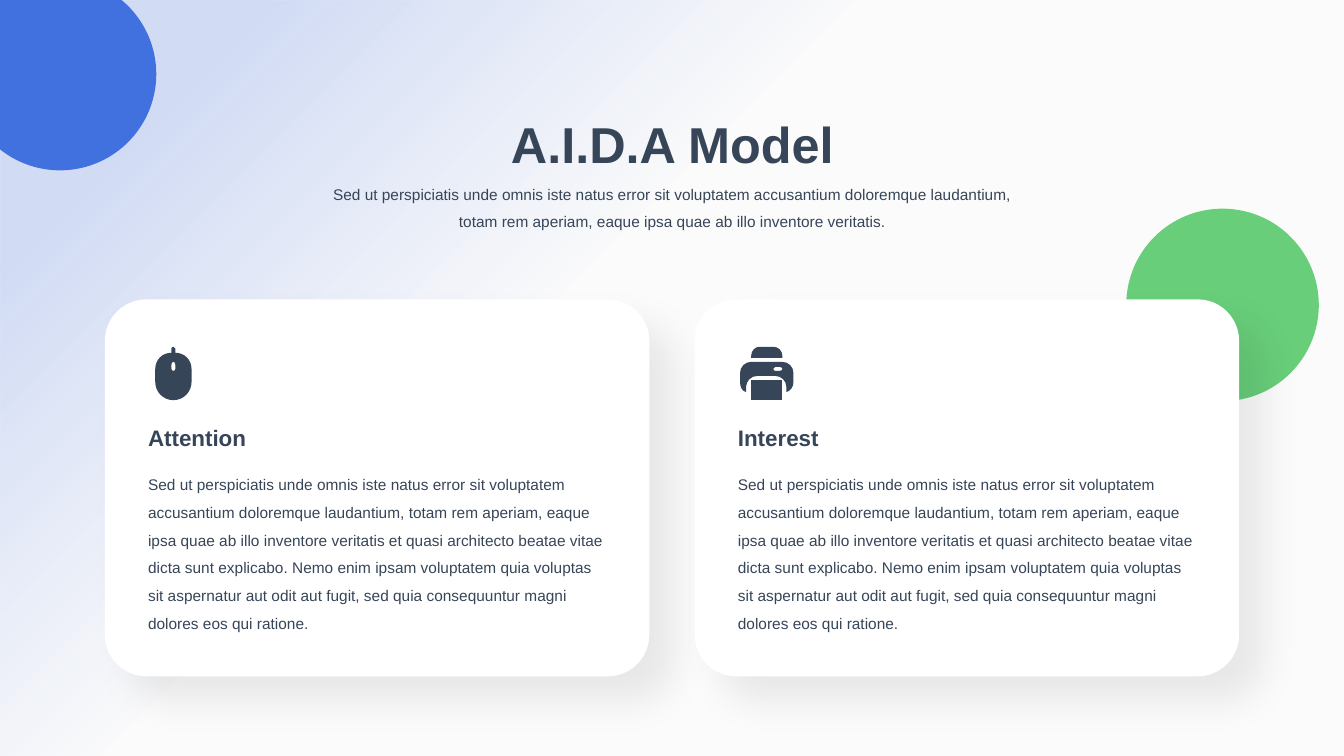
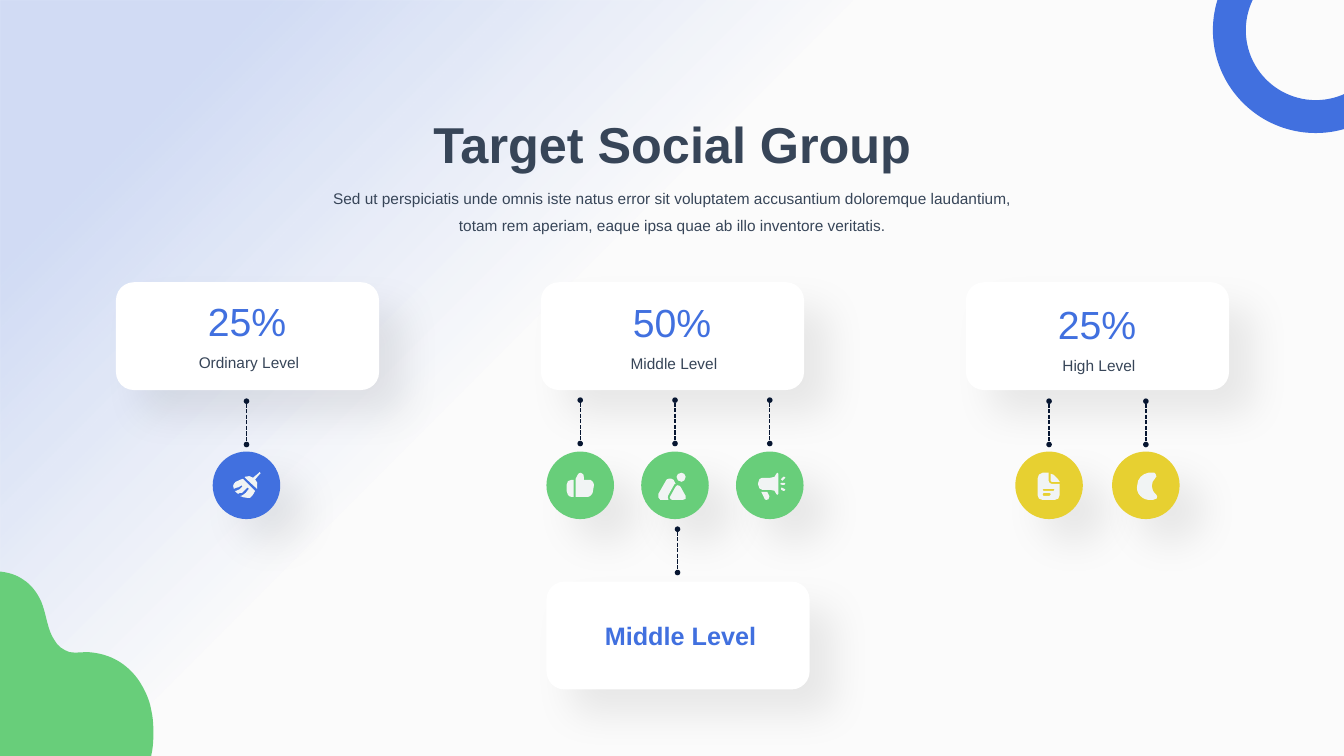
from lxml.etree import SubElement
from pptx import Presentation
from pptx.dml.color import RGBColor
from pptx.enum.dml import MSO_LINE
from pptx.enum.shapes import MSO_CONNECTOR, MSO_SHAPE
from pptx.enum.text import MSO_ANCHOR, MSO_AUTO_SIZE, PP_ALIGN
from pptx.oxml.ns import qn
from pptx.util import Inches, Pt

FONT = "Arial"
SLIDE_WIDTH, SLIDE_HEIGHT = 13.33, 7.5
BLUE, GREEN, YELLOW = "4170DF", "68CE7A", "E7D031"
SLATE, NAVY, WHITE, PALE, PAPER = "374558", "071631", "FFFFFF", "F1F4F4", "FBFBFB"
GLOW_STOPS = [(0.13, 22), (0.41, 0)]  # position, opacity in percent

LEAD = ("Sed ut perspiciatis unde omnis iste natus error sit voluptatem accusantium "
        "doloremque laudantium, totam rem aperiam, eaque ipsa quae ab illo inventore veritatis")
CARD_TEXT = LEAD + (" et quasi architecto beatae vitae dicta sunt explicabo. Nemo enim ipsam "
                    "voluptatem quia voluptas sit aspernatur aut odit aut fugit, sed quia "
                    "consequuntur magni dolores eos qui ratione.")

# Each icon is a list of outlines in hundredths of an inch: "/" parts contours, "," parts
# steps. A step of one point is a line; a step of three points is a Bézier curve.
MOUSE = [
    "20 6, 20 2, 20 1 19 0 18 0, 17 0 16 1 16 2, 16 6, 7 6 0 13 0 22, 0 35, "
    "0 45 8 53 18 53, 28 53 36 45 36 35, 36 22, 36 13 29 6 20 6 / "
    "20 22, 20 23 19 24 18 24, 17 24 16 23 16 22, 16 18, 16 16 17 15 18 15, 19 15 20 16 20 18"]
PRINTER = [
    "42 9, 42 4 38 0 33 0, 19 0, 15 0 11 4 11 9, 11 11, 42 11",
    "11 33, 42 33, 42 53, 11 53",
    "42 15, 11 15, 5 15 0 20 0 26, 0 35, 0 40 2 44 6 45, 6 40, 6 34 11 29 17 29, 35 29, "
    "41 29 46 34 46 40, 46 45, 50 44 53 40 53 35, 53 26, 53 20 48 15 42 15 / "
    "39 24, 35 24, 34 24 33 23 33 22, 33 21 34 20 35 20, 39 20, 41 20 42 21 42 22, "
    "42 23 41 24 39 24"]
BROOM = [
    "27 28, 25 29, 23 29 22 31 21 32, 20 33 20 35 21 37, 23 36, 25 36 26 35 28 34, "
    "28 33 29 33 29 34, 30 34 30 35 29 35, 28 37 26 38 23 39, 22 39, 23 40 24 41 25 42, "
    "27 41, 29 41, 30 40 32 38 33 37, 34 36, 34 36 35 35 35 36, 36 36 36 37 36 37, 35 38, "
    "34 40 32 42 30 43, 28 44, 27 44, 29 45 32 46 35 46, 37 46, 39 44 41 42 42 39, 30 27, "
    "29 27 28 28 27 28",
    "47 21, 47 20 46 20 46 21, 40 26, 38 24 35 24 32 25, 32 25 32 26 32 26, 44 37, "
    "44 36 44 35 44 34, 45 32 44 30 43 29, 42 28, 47 22, 48 22 48 21 47 21"]
THUMB = [
    "46 30, 45 28 43 28 41 28, 37 28, 37 25, 38 23 36 22 34 21, 33 21 31 22 31 23, 29 27, "
    "29 45, 41 45, 43 45 46 42 46 40, 47 34, 47 32 47 31 46 30",
    "20 33, 20 39, 20 42 22 45 25 45, 27 45, 27 28, 25 28, 22 28 20 30 20 33"]
MOUNTAINS = [
    "40 30, 37 30 35 28 35 25, 35 23 37 21 40 21, 42 21 44 23 44 25, 44 28 42 30 40 30 / "
    "41 48, 31 48, 30 48 29 47 29 47, 28 46 28 45 29 44, 34 35, 35 33 36 33 38 34, "
    "38 34 39 34 39 35, 44 44, 44 45 44 46 44 47, 43 47 42 48 41 48 / "
    "27 48, 26 46 26 44 27 43, 32 34, 32 33 33 32 34 32, 32 28, 31 27 28 26 27 27, "
    "26 27 25 28 25 28, 17 42, 16 44 17 47 19 48, 20 48 20 48 21 48"]
MEGAPHONE = [
    "48 39, 47 39, 45 38, 45 37 44 37 45 36, 45 36 46 35 46 36, 48 37, 49 37 49 38 49 38, "
    "49 39 48 39 48 39 / "
    "46 29, 48 27, 49 27 49 26 49 26, 49 25 48 25 47 25, 45 27, 45 27 44 28 45 28, "
    "45 29 46 29 46 29 / "
    "49 32, 49 31 49 31 48 31, 46 31, 45 31 44 31 44 32, 44 33 45 33 46 33, 48 33, "
    "49 33 49 33 49 32 / "
    "42 42, 42 22, 42 21 42 21 41 21, 40 21 40 21 40 22, 40 25 37 26 34 26, 26 26, "
    "24 26 22 28 22 31, 22 33, 22 36 24 38 26 38, 34 38, 37 38 40 39 40 42, "
    "40 43 40 43 41 43, 42 43 42 43 42 42 / "
    "31 40, 26 40, 25 40, 28 46, 28 47 29 48 30 48, 32 48 33 47 33 45, 33 45 33 44 33 44"]
DOCUMENT = [
    "35 29, 35 22, 36 22 37 23 38 23, 42 27, 43 28 43 29 44 30, 36 30, 36 30 35 30 35 29 / "
    "44 33, 44 43, 44 46 42 48 39 48, 27 48, 24 48 22 46 22 43, 22 27, 22 24 24 21 27 21, "
    "33 21, 33 29, 33 31 35 32 36 32, 44 32 / "
    "35 43, 35 42 35 41 34 41, 28 41, 28 41 27 42 27 43, 27 43 28 44 28 44, 34 44, "
    "35 44 35 43 35 43 / "
    "39 38, 39 37 38 37 38 37, 28 37, 28 37 27 37 27 38, 27 39 28 39 28 39, 38 39, "
    "38 39 39 39 39 38"]
MOON = [
    "38 48, 34 48 31 47 28 44, 25 41 24 37 25 33, 25 27 30 22 36 21, 38 21 40 21 42 21, "
    "43 22 44 23 44 25, 44 25 43 26 43 26, 38 31 38 38 44 43, 45 44 45 45 44 47, 43 47, "
    "42 48 40 48 38 48"]
BLOB = [
    "150 183, 153 171 153 149 150 137, 148 126 143 116 137 107, 123 88 105 81 87 80, "
    "81 80 75 81 69 80, 63 78 57 74 54 68, 47 58 46 42 41 30, 37 21 31 13 23 8, "
    "16 3 8 1 0 0, 0 183"]


def rgb(colour):
    return RGBColor.from_string(colour)


def write(frame, text, size=11, colour=SLATE, bold=False, align=PP_ALIGN.LEFT,
          spacing=1.0, before=0):
    """Write one paragraph, the first one into the paragraph that a frame starts with."""
    para = frame.add_paragraph() if frame.text else frame.paragraphs[0]
    para.alignment, para.line_spacing, para.space_before = align, spacing, Pt(before)
    span = para.add_run()
    span.text = text
    span.font.name, span.font.size, span.font.bold = FONT, Pt(size), bold
    span.font.color.rgb = rgb(colour)
    return para


def place(shape, left, top, width, height):
    shape.left, shape.top = Inches(left), Inches(top)
    shape.width, shape.height = Inches(width), Inches(height)


def add_text_frame(page, left, top, width, height, inset=None, anchor=MSO_ANCHOR.TOP):
    box = page.shapes.add_textbox(Inches(left), Inches(top), Inches(width), Inches(height))
    frame = box.text_frame
    frame.word_wrap, frame.vertical_anchor = True, anchor
    frame.auto_size = MSO_AUTO_SIZE.SHAPE_TO_FIT_TEXT
    if inset is not None:
        frame.margin_left = frame.margin_right = Inches(inset)
        frame.margin_top = frame.margin_bottom = Inches(inset)
    return frame


def paint(shape, colour):
    shape.shadow.inherit = False
    shape.fill.solid()
    shape.fill.fore_color.rgb = rgb(colour)
    shape.line.fill.background()


def cast_shadow(shape):
    effects = shape._element.spPr.find(qn("a:effectLst"))
    shadow = SubElement(effects, qn("a:outerShdw"), blurRad=str(Pt(28)), dist=str(Pt(25)),
                        dir=str(45 * 60000), rotWithShape="0")
    black = SubElement(shadow, qn("a:srgbClr"), val="000000")
    SubElement(black, qn("a:alpha"), val="7000")


def add_figure(page, kind, left, top, width, height, colour, adjustment=None, shadow=False):
    figure = page.shapes.add_shape(kind, Inches(left), Inches(top), Inches(width), Inches(height))
    paint(figure, colour)
    if adjustment is not None:
        figure.adjustments[0] = adjustment
    if shadow:
        cast_shadow(figure)
    return figure


def add_card(page, left, top, width, height, adjustment=None):
    return add_figure(page, MSO_SHAPE.ROUNDED_RECTANGLE, left, top, width, height, WHITE,
                      adjustment, shadow=True)


def read_step(step):
    numbers = [float(number) for number in step.split()]
    return list(zip(numbers[::2], numbers[1::2]))


def bend(shape, steps):
    """Turn the three lines that stand for each curve into one Bézier segment."""
    lines = iter(list(shape._element.iter(qn("a:lnTo"))))
    for step in steps:
        segment = next(lines)
        if len(step) == 3:
            segment.tag = qn("a:cubicBezTo")
            for line in (next(lines), next(lines)):
                segment.append(line[0])
                line.getparent().remove(line)


def add_outline(page, outline, left, top, colour):
    builder, drawn_steps = None, []
    for contour in outline.split("/"):
        steps = [read_step(step) for step in contour.split(",")]
        points = [(Inches(left + x / 100), Inches(top + y / 100))
                  for step in steps for x, y in step]
        if builder is None:
            builder = page.shapes.build_freeform(*points[0])
        else:
            builder.move_to(*points[0])
        builder.add_line_segments(points[1:], close=True)
        drawn_steps += steps[1:]
    shape = builder.convert_to_shape()
    bend(shape, drawn_steps)
    paint(shape, colour)


def add_icon(page, outlines, left, top, colour):
    for outline in outlines:
        add_outline(page, outline, left, top, colour)


def add_dotted_link(page, x, top, length=0.43):
    """Vertical dashed line with a dot at each end."""
    link = page.shapes.add_connector(MSO_CONNECTOR.STRAIGHT, Inches(x), Inches(top),
                                     Inches(x), Inches(top + length))
    link.line.color.rgb = rgb(NAVY)
    link.line.width = Pt(1)
    link.line.dash_style = MSO_LINE.SQUARE_DOT
    for end in ("a:headEnd", "a:tailEnd"):
        SubElement(link.line._get_or_add_ln(), qn(end), type="oval", w="sm", len="sm")
    SubElement(link._element.spPr, qn("a:effectLst"))


def set_background(deck, page):
    """Give the master its paper colour and a glow, which is drawn on a page and moved."""
    master = deck.slide_master
    master.background.fill.solid()
    master.background.fill.fore_color.rgb = rgb(PAPER)
    glow = add_figure(page, MSO_SHAPE.RECTANGLE, 0, 0, SLIDE_WIDTH, SLIDE_HEIGHT, BLUE)
    glow.fill.gradient()
    glow.fill.gradient_angle = 315
    for stop, (position, opacity) in zip(glow.fill.gradient_stops, GLOW_STOPS):
        stop.position = position
        stop.color.rgb = rgb(BLUE)
        SubElement(stop._gs[0], qn("a:alpha"), val=str(opacity * 1000))
    master.shapes._spTree.insert(2, glow._element)


def add_page(deck, title, title_width, lead_top):
    page = deck.slides.add_slide(deck.slide_layouts[1])
    heading, lead = page.placeholders
    place(heading, 6.67 - title_width / 2, 1.07, title_width, 0.71)
    place(lead, 3.06, lead_top, 7.22, 0.63)
    for holder in (heading, lead):
        holder.text_frame.auto_size = MSO_AUTO_SIZE.NONE
        holder.text_frame.vertical_anchor = MSO_ANCHOR.TOP
    write(heading.text_frame, title, size=36, bold=True, align=PP_ALIGN.CENTER)
    para = write(lead.text_frame, LEAD + ".", align=PP_ALIGN.CENTER, spacing=1.5)
    properties = para._p.get_or_add_pPr()
    properties.set("marL", "0")
    properties.set("indent", "0")
    SubElement(properties, qn("a:buNone"))
    return page


def add_model_page(deck):
    page = add_page(deck, "A.I.D.A Model", title_width=3.85, lead_top=1.69)
    add_figure(page, MSO_SHAPE.OVAL, 11.17, 2.07, 1.91, 1.91, GREEN)
    add_figure(page, MSO_SHAPE.OVAL, -0.36, -0.22, 1.91, 1.91, BLUE)
    cards = [("Attention", MOUSE, 0.5), ("Interest", PRINTER, 0.45)]
    for index, (name, icon, icon_offset) in enumerate(cards):
        left = 1.04 + 5.85 * index
        add_card(page, left, 2.97, 5.4, 3.74, adjustment=0.11)
        add_icon(page, icon, left + icon_offset, 3.44, SLATE)
        frame = add_text_frame(page, left + 0.33, 4.03, 4.75, 2.3)
        write(frame, name, size=16, bold=True, spacing=1.5)
        write(frame, CARD_TEXT, spacing=1.5, before=10.4)
    return page


def add_group_page(deck):
    page = add_page(deck, "Target Social Group", title_width=7.22, lead_top=1.73)
    add_figure(page, MSO_SHAPE.DONUT, 12.03, -0.72, 2.04, 2.04, BLUE, adjustment=0.16)
    add_icon(page, BLOB, 0, 5.67, GREEN)

    card_width, card_height, disc = 2.61, 1.07, 0.67
    first_card, last_card = 1.15, 9.58
    # share, level, text top, link top, disc colour, first disc, disc step, icons
    levels = [
        ("25%", "Ordinary Level", 2.91, 3.98, BLUE, 2.11, 0, [BROOM]),
        ("50%", "Middle Level", 2.92, 3.97, GREEN, 5.42, 0.94, [THUMB, MOUNTAINS, MEGAPHONE]),
        ("25%", "High Level", 2.94, 3.98, YELLOW, 10.07, 0.96, [DOCUMENT, MOON]),
    ]
    for index, level in enumerate(levels):
        share, name, text_top, link_top, colour, first_disc, disc_step, icons = level
        left = first_card + (last_card - first_card) / 2 * index
        add_card(page, left, 2.8, card_width, card_height)
        share_frame = add_text_frame(page, left + 0.6, text_top, 1.4, 0.55, inset=0.04,
                                     anchor=MSO_ANCHOR.BOTTOM)
        write(share_frame, share, size=28, colour=BLUE, align=PP_ALIGN.CENTER)
        name_frame = add_text_frame(page, left + 0.62, text_top + 0.55, 1.4, 0.26, inset=0.04)
        write(name_frame, name, align=PP_ALIGN.CENTER)
        for position, icon in enumerate(icons):
            disc_left = first_disc + disc_step * position
            add_figure(page, MSO_SHAPE.OVAL, disc_left, 4.48, disc, disc, colour, shadow=True)
            add_icon(page, icon, disc_left, 4.48, PALE)
            add_dotted_link(page, disc_left + disc / 2, link_top)

    add_dotted_link(page, 6.72, 5.25)
    add_card(page, 5.42, 5.77, card_width, card_height)
    frame = add_text_frame(page, 5.73, 6.11, 2.04, 0.38, inset=0.04, anchor=MSO_ANCHOR.MIDDLE)
    write(frame, "Middle Level", size=18, colour=BLUE, bold=True, align=PP_ALIGN.CENTER)


def main():
    deck = Presentation()
    deck.slide_width, deck.slide_height = Inches(SLIDE_WIDTH), Inches(SLIDE_HEIGHT)
    model_page = add_model_page(deck)
    set_background(deck, model_page)
    add_group_page(deck)
    deck.save("out.pptx")


if __name__ == "__main__":
    main()
